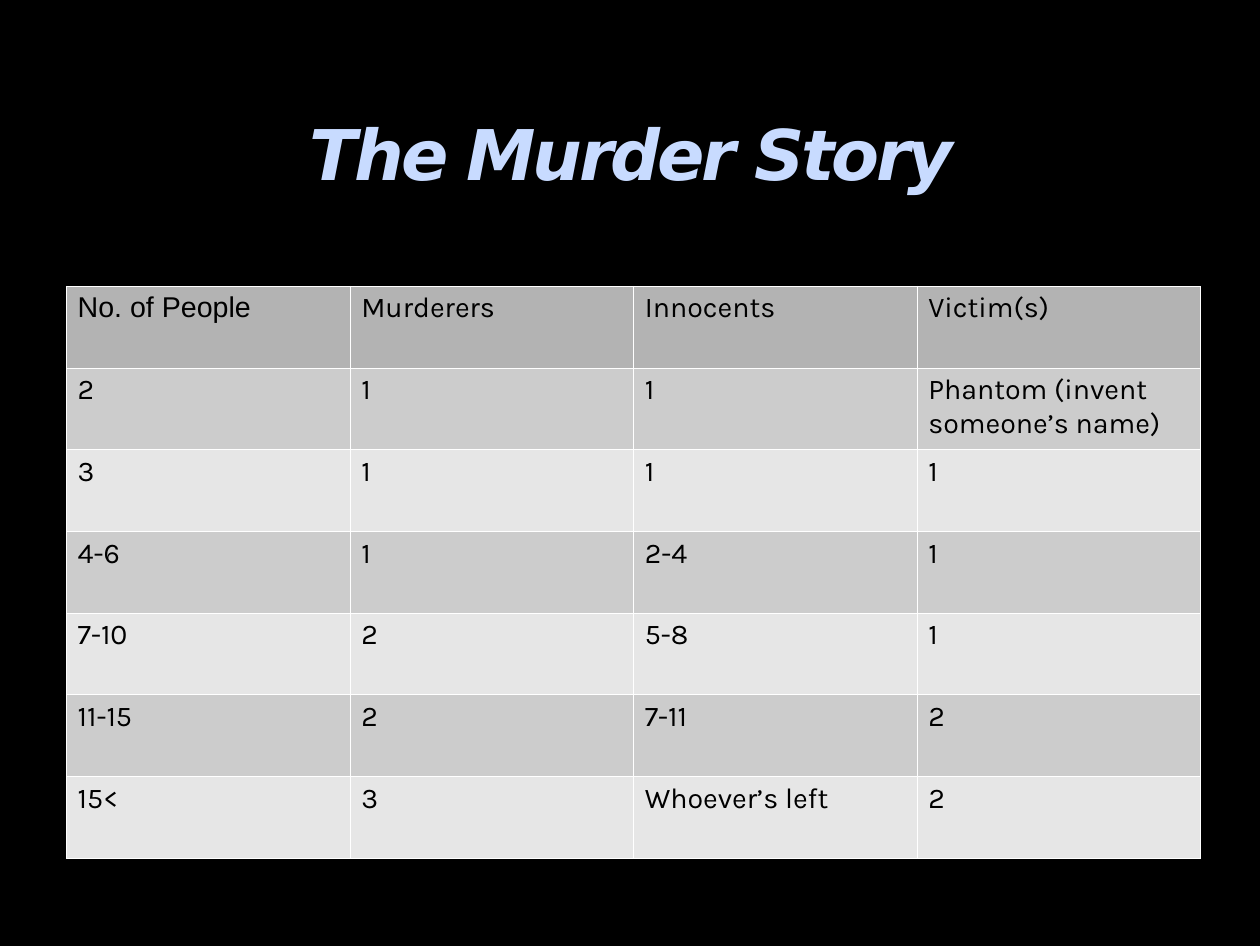
from lxml.etree import SubElement as Sub
from pptx import Presentation
from pptx.dml.color import RGBColor as RGB
from pptx.enum.text import MSO_ANCHOR as Anchor, PP_ALIGN as Align
from pptx.oxml.ns import qn
from pptx.util import Inches, Pt

BLACK = RGB(0x00, 0x00, 0x00)
WHITE = RGB(0xFF, 0xFF, 0xFF)
BLUE = RGB(0xC8, 0xDB, 0xFF)
HEAD = RGB(0xB3, 0xB3, 0xB3)
BANDS = RGB(0xCC, 0xCC, 0xCC), RGB(0xE6, 0xE6, 0xE6)

ROLES = [
    ("No. of People", "Murderers", "Innocents", "Victim(s)"),
    ("2", "1", "1", "Phantom (invent someone’s name)"),
    ("3", "1", "1", "1"),
    ("4-6", "1", "2-4", "1"),
    ("7-10", "2", "5-8", "1"),
    ("11-15", "2", "7-11", "2"),
    ("15<", "3", "Whoever’s left", "2"),
]


def style(para, name, size, color):
    font = para.runs[0].font
    font.name = name
    font.size = Pt(size)
    font.color.rgb = color
    return font


def add_title(slide, text):
    title = slide.shapes.title
    title.left, title.top = Inches(0.55), Inches(0.64)
    title.width, title.height = Inches(9.95), Inches(1.38)
    frame = title.text_frame
    frame.text = text
    frame.word_wrap = True
    frame.vertical_anchor = Anchor.MIDDLE
    frame.margin_left = frame.margin_right = 0
    frame.margin_top = frame.margin_bottom = 0
    para = frame.paragraphs[0]
    para.alignment = Align.CENTER
    font = style(para, "DejaVu Sans", 44, BLUE)
    font.bold = font.italic = True
    para.runs[0]._r.get_or_add_rPr().set("spc", "-200")


def add_edges(cell):
    props = cell._tc.get_or_add_tcPr()
    for side in ("lnL", "lnR", "lnT", "lnB"):
        line = Sub(props, qn(f"a:{side}"), w=str(Pt(0.06)))
        fill = Sub(line, qn("a:solidFill"))
        Sub(fill, qn("a:srgbClr"), val=str(WHITE))


def fill_cell(cell, text, shade, name):
    add_edges(cell)
    cell.fill.solid()
    cell.fill.fore_color.rgb = shade
    cell.text_frame.text = text
    font = style(cell.text_frame.paragraphs[0], name, 18, BLACK)
    font.bold = False


def add_grid(slide, rows):
    count, wide = len(rows), len(rows[0])
    frame = slide.shapes.add_table(
        count, wide, Inches(0.58), Inches(2.5), Inches(9.92), Inches(5))
    table = frame.table
    table.first_row = table.horz_banding = False
    for r, row in enumerate(rows):
        shade = BANDS[(r - 1) % 2] if r else HEAD
        for c, text in enumerate(row):
            name = "Karla" if r or c else "Arial"
            fill_cell(table.cell(r, c), text, shade, name)


def main():
    deck = Presentation()
    deck.slide_width, deck.slide_height = Inches(11.02), Inches(8.27)
    slide = deck.slides.add_slide(deck.slide_layouts[5])
    back = slide.background.fill
    back.solid()
    back.fore_color.rgb = BLACK
    add_title(slide, "The Murder Story")
    add_grid(slide, ROLES)
    deck.save("out.pptx")


if __name__ == "__main__":
    main()
